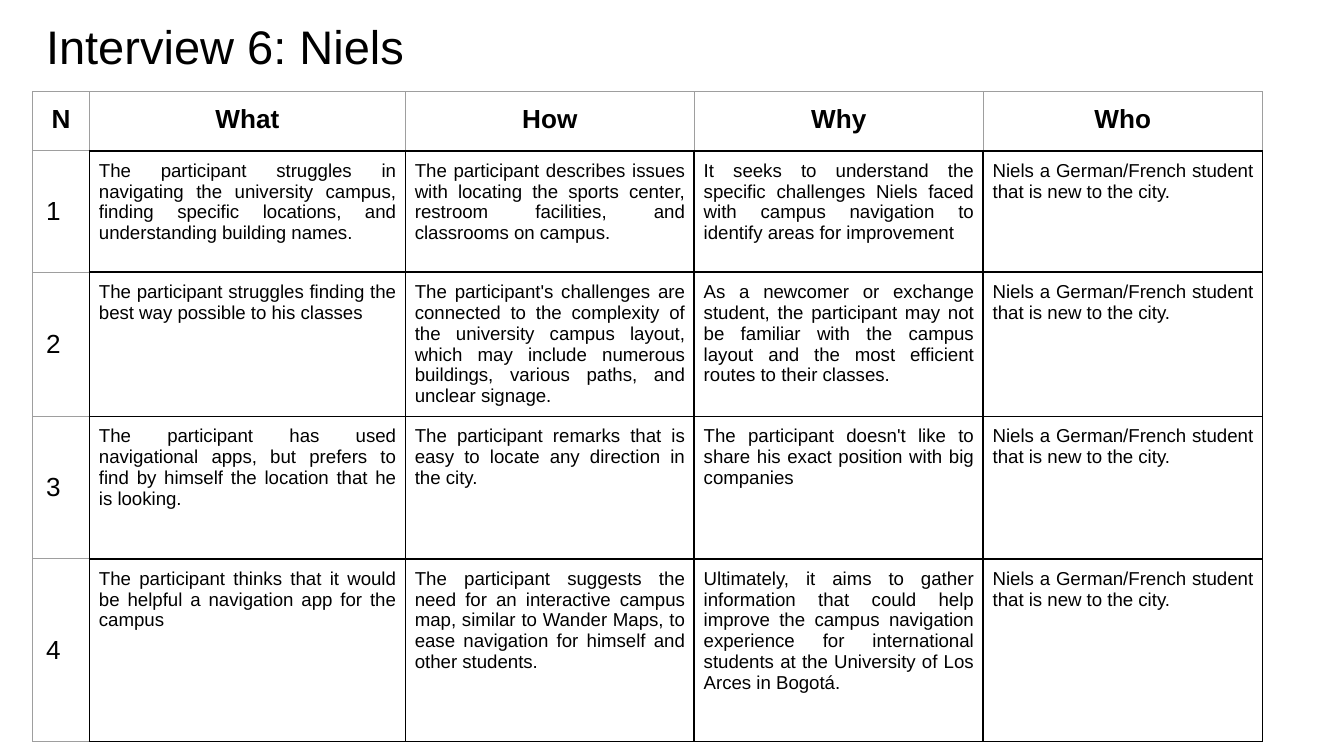
from lxml.etree import SubElement
from pptx import Presentation
from pptx.dml.color import RGBColor
from pptx.enum.text import MSO_ANCHOR, MSO_AUTO_SIZE, PP_ALIGN
from pptx.oxml.ns import qn
from pptx.util import Cm, Pt

BLACK, GREY = "000000", "9E9E9E"
WIDTHS = [1.07, 5.97, 5.46, 5.46, 5.28]
HEIGHTS = [1.12, 2.29, 2.7, 2.69, 3.45]
WHO = "Niels a German/French student that is new to the city."
HEADS = ["N", "What", "How", "Why", "Who"]
NOTES = [
    ["The participant struggles in navigating the university campus, finding specific locations, and understanding building names.",
     "The participant describes issues with locating the sports center, restroom facilities, and classrooms on campus.",
     "It seeks to understand the specific challenges Niels faced with campus navigation to identify areas for improvement"],
    ["The participant struggles finding the best way possible to his classes",
     "The participant's challenges are connected to the complexity of the university campus layout, which may include numerous buildings, various paths, and unclear signage.",
     "As a newcomer or exchange student, the participant may not be familiar with the campus layout and the most efficient routes to their classes."],
    ["The participant has used navigational apps, but prefers to find by himself the location that he is looking.",
     "The participant remarks that is easy to locate any direction in the city.",
     "The participant doesn't like to share his exact position with big companies"],
    ["The participant thinks that it would be helpful a navigation app for the campus",
     "The participant suggests the need for an interactive campus map, similar to Wander Maps, to ease navigation for himself and other students.",
     "Ultimately, it aims to gather information that could help improve the campus navigation experience for international students at the University of Los Arces in Bogotá."],
]


def color(code):
    return RGBColor.from_string(code)


class Deck:
    font = "Arial"

    def __init__(self, slide):
        self.slide = slide

    def style(self, frame, size, align, bold=False):
        for part in frame.paragraphs:
            part.alignment = align
            for run in part.runs:
                run.font.name = self.font
                run.font.size = Pt(size)
                run.font.bold = bold
                run.font.color.rgb = color(BLACK)

    def title(self, text, left, top, width, height):
        box = self.slide.shapes.title
        box.left, box.top = Cm(left), Cm(top)
        box.width, box.height = Cm(width), Cm(height)
        frame = box.text_frame
        frame.text = text
        frame.word_wrap = True
        frame.auto_size = MSO_AUTO_SIZE.NONE
        frame.vertical_anchor = MSO_ANCHOR.TOP
        frame.margin_left = frame.margin_right = frame.margin_bottom = Cm(0.25)
        frame.margin_top = Cm(0.33)
        self.style(frame, 25.2, PP_ALIGN.LEFT)

    def border(self, cell, sides):
        props = cell._tc.get_or_add_tcPr()
        for index, (side, code) in enumerate(sides.items()):
            width = Pt(1) if code == BLACK else Pt(0.75)
            line = props.makeelement(qn("a:ln" + side), {"w": str(width)})
            fill = SubElement(line, qn("a:solidFill"))
            SubElement(fill, qn("a:srgbClr"), val=code)
            props.insert(index, line)

    def cell(self, cell, text, row, col):
        head, label = row == 0, col == 0
        edge = head or label
        cell.text = text
        cell.fill.background()
        pad = Cm(0.25 if edge else 0.18)
        cell.margin_left = cell.margin_right = pad
        cell.margin_top = cell.margin_bottom = pad
        if head:
            align = PP_ALIGN.CENTER
        else:
            align = PP_ALIGN.LEFT if label else PP_ALIGN.JUSTIFY
        middle = label and not head
        cell.vertical_anchor = MSO_ANCHOR.MIDDLE if middle else MSO_ANCHOR.TOP
        self.style(cell.text_frame, 14 if edge else 10, align, head)
        self.border(cell, {
            "L": GREY if edge else BLACK,
            "R": GREY if head else BLACK,
            "T": GREY if edge else BLACK,
            "B": GREY if label else BLACK,
        })

    def table(self, rows, left, top):
        frame = self.slide.shapes.add_table(
            len(rows), len(WIDTHS), Cm(left), Cm(top),
            Cm(sum(WIDTHS)), Cm(sum(HEIGHTS)))
        grid = frame.table
        grid.first_row = grid.horz_banding = False
        for col, width in zip(grid.columns, WIDTHS):
            col.width = Cm(width)
        for row, height in zip(grid.rows, HEIGHTS):
            row.height = Cm(height)
        for row, texts in enumerate(rows):
            for col, text in enumerate(texts):
                self.cell(grid.cell(row, col), text, row, col)


def main():
    show = Presentation()
    show.slide_width, show.slide_height = Cm(25.4), Cm(14.28)
    deck = Deck(show.slides.add_slide(show.slide_layouts[5]))
    deck.title("Interview 6: Niels", 0.62, 0, 20.96, 0.92)
    rows = [[str(num), *notes, WHO] for num, notes in enumerate(NOTES, 1)]
    deck.table([HEADS] + rows, 0.62, 1.73)
    show.save("out.pptx")


if __name__ == "__main__":
    main()
